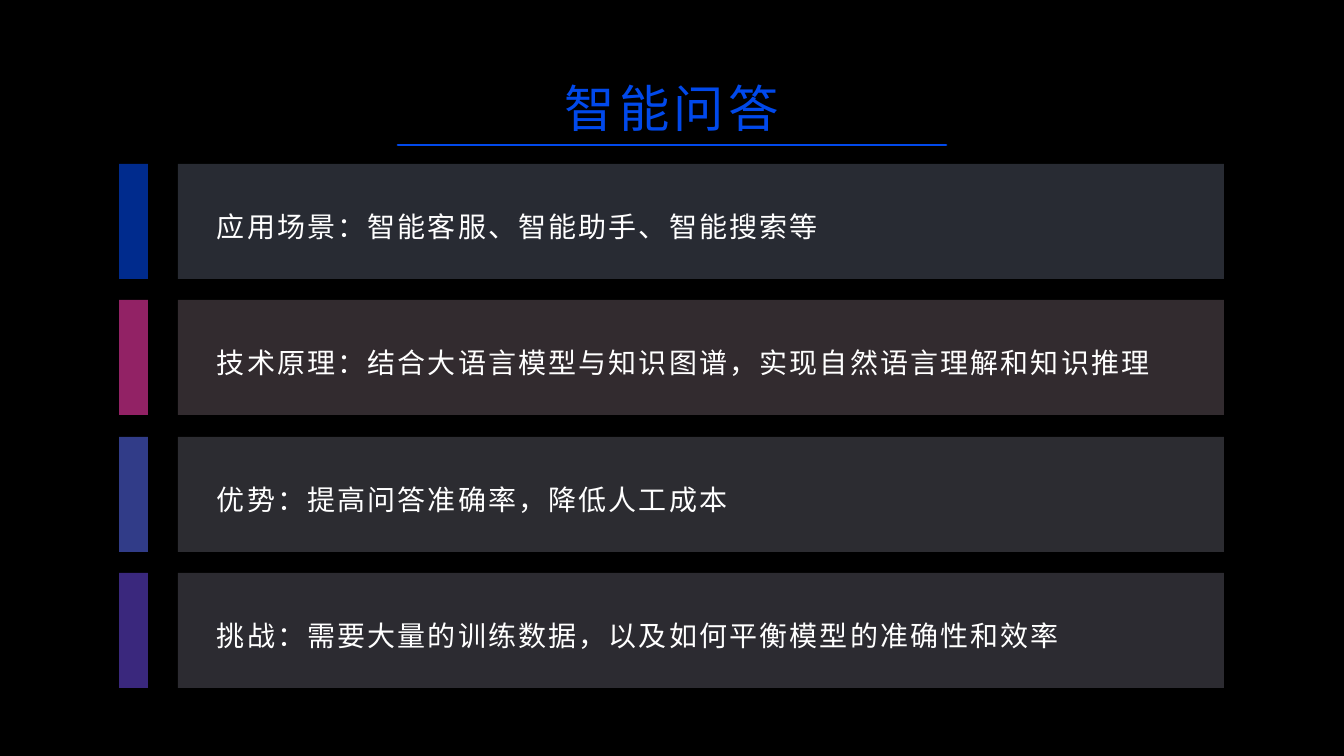
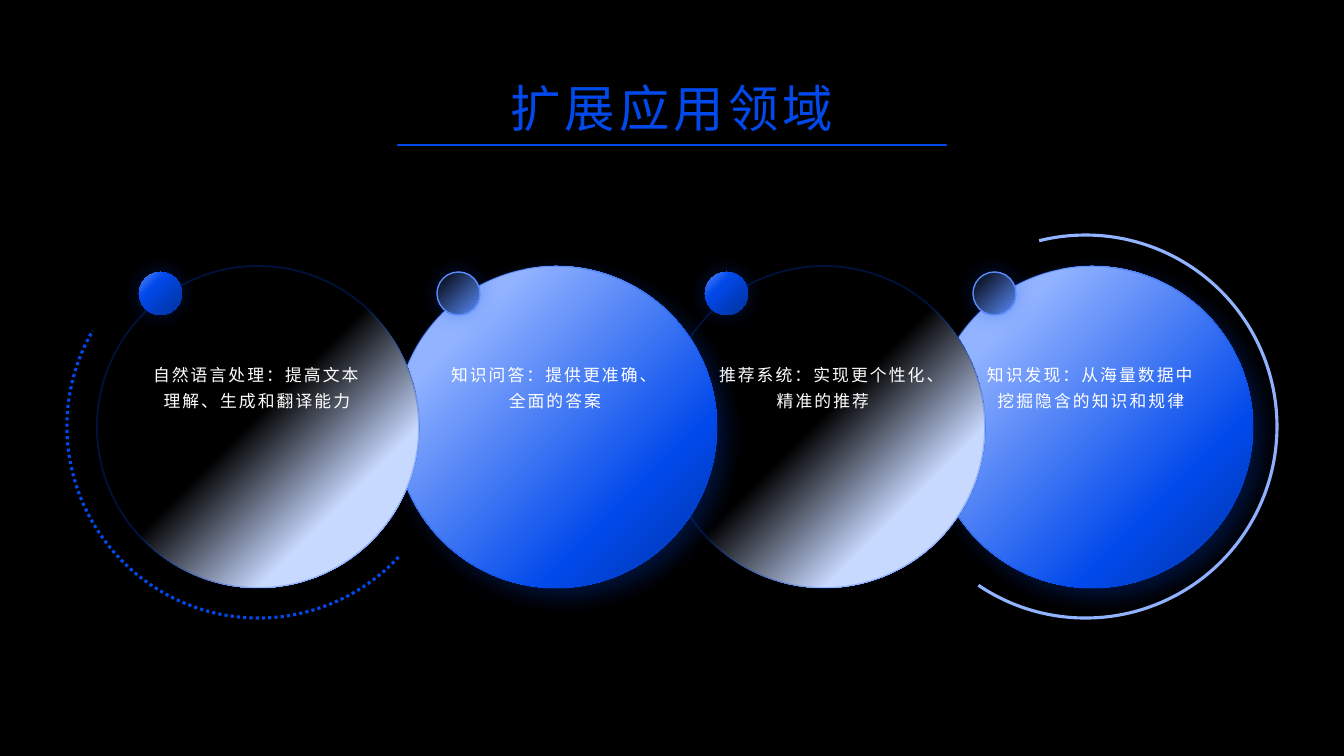
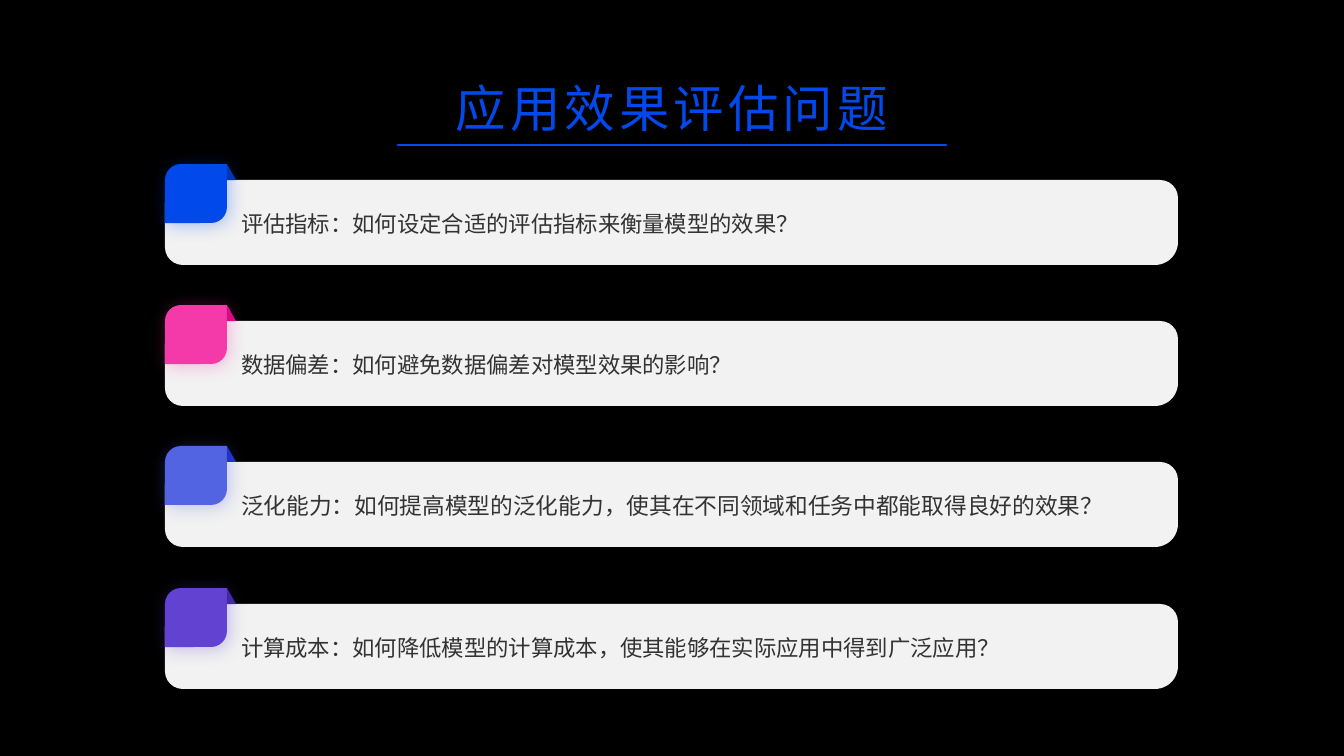
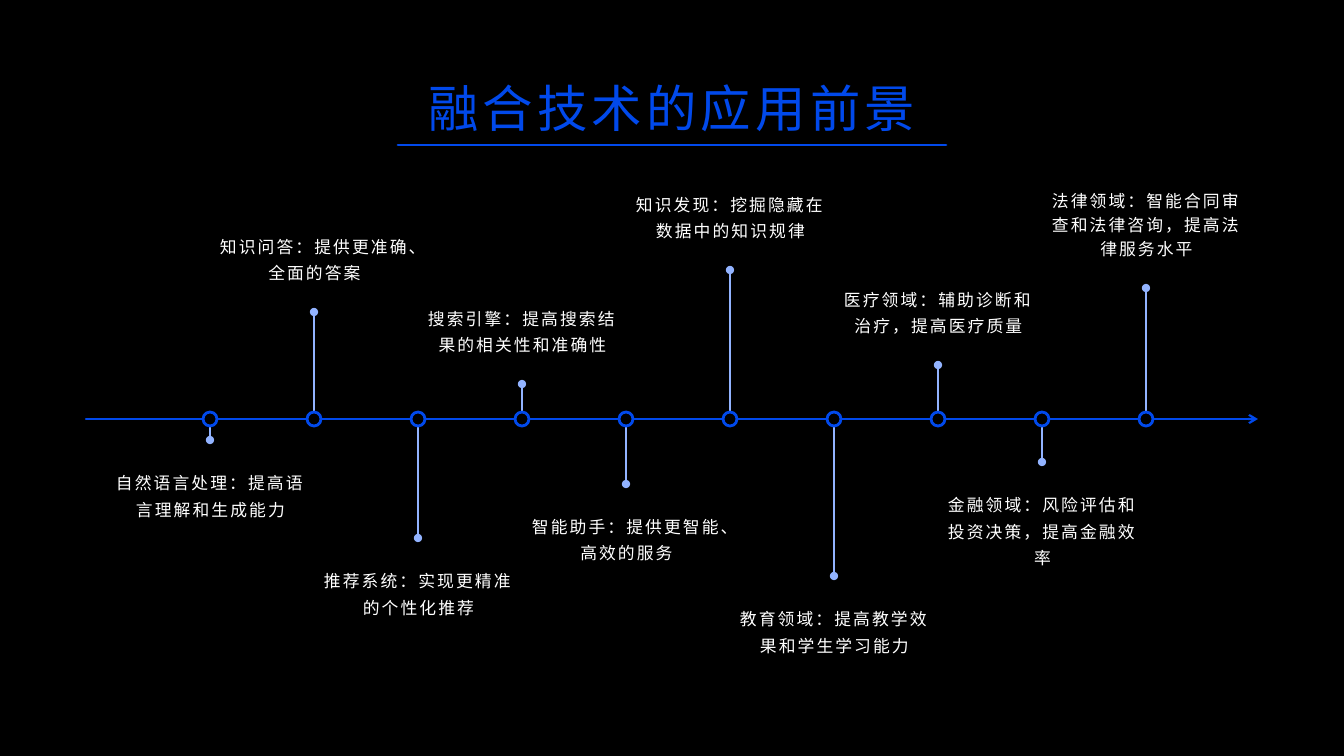
from lxml.etree import SubElement
from pptx import Presentation
from pptx.dml.color import RGBColor
from pptx.enum.dml import MSO_LINE
from pptx.enum.shapes import MSO_CONNECTOR, MSO_SHAPE
from pptx.enum.text import MSO_ANCHOR, PP_ALIGN
from pptx.oxml.ns import qn
from pptx.util import Pt

WIDE, HIGH = 1344, 756
SCALE = 12192000 / WIDE
FONT = "Roboto"

BLACK = RGBColor(0x00, 0x00, 0x00)
WHITE = RGBColor(0xFF, 0xFF, 0xFF)
INK = RGBColor(0x33, 0x33, 0x33)
PAPER = RGBColor(0xF2, 0xF2, 0xF2)
BLUE = RGBColor(0x01, 0x49, 0xEB)
NAVY = RGBColor(0x01, 0x37, 0xB0)
AZURE = RGBColor(0x5B, 0x8D, 0xFE)
SKY = RGBColor(0x92, 0xB3, 0xFF)
ICE = RGBColor(0xC8, 0xD9, 0xFF)
PINK = RGBColor(0xF4, 0x3A, 0xA9)
ROSE = RGBColor(0xD7, 0x0C, 0x85)
BLUSH = RGBColor(0xFD, 0xD8, 0xEE)
INDIGO = RGBColor(0x53, 0x64, 0xE3)
COBALT = RGBColor(0x21, 0x34, 0xC8)
MIST = RGBColor(0xDD, 0xE0, 0xF9)
PURPLE = RGBColor(0x62, 0x43, 0xD1)
VIOLET = RGBColor(0x44, 0x29, 0xA6)
LILAC = RGBColor(0xE0, 0xD9, 0xF6)

NOTE = {"size": 12, "align": PP_ALIGN.CENTER, "pad": (0, 0, 0, 0)}


def px(n):
    return round(n * SCALE)


def put(item, values):
    for name, value in values.items():
        setattr(item, name, value)


def fade(node, alpha):
    """Make a colour element see-through; alpha is in percent."""
    SubElement(node, qn("a:alpha"), val=str(alpha * 1000))


class Deck:
    def __init__(self):
        self.prs = Presentation()
        put(self.prs, {"slide_width": px(WIDE), "slide_height": px(HIGH)})
        back = self.prs.slide_master.background.fill
        back.solid()
        back.fore_color.rgb = BLACK

    def page(self, title):
        """Start a slide with its title and rule."""
        slide = self.prs.slides.add_slide(self.prs.slide_layouts[6])
        self.shapes = slide.shapes
        self.line(398, 145, 946, 145, BLUE, 2)
        self.text((67, 68, 1210, 78), title, size=36, color=BLUE, space=3,
                  lead=1.0, align=PP_ALIGN.CENTER, anchor=MSO_ANCHOR.MIDDLE)

    def text(self, box, words, size, color=WHITE, space=1.5, lead=1.3,
             align=PP_ALIGN.LEFT, anchor=MSO_ANCHOR.TOP, pad=(10, 5, 10, 5)):
        frame = self.shapes.add_textbox(*map(px, box)).text_frame
        sides = ("left", "top", "right", "bottom")
        put(frame, {"margin_" + side: px(n) for side, n in zip(sides, pad)})
        put(frame, {"word_wrap": True, "vertical_anchor": anchor})
        para = frame.paragraphs[0]
        put(para, {"alignment": align, "line_spacing": lead})
        run = para.add_run()
        run.text = words
        put(run.font, {"size": Pt(size), "name": FONT})
        run.font.color.rgb = color
        props = run.font._element
        props.set("lang", "zh-CN")
        props.set("spc", str(round(space * 100)))
        SubElement(props, qn("a:ea"), typeface=FONT)

    def line(self, x1, y1, x2, y2, color, width, end=None):
        link = self.shapes.add_connector(
            MSO_CONNECTOR.STRAIGHT, *map(px, (x1, y1, x2, y2)))
        link.line.color.rgb = color
        link.line.width = Pt(width)
        props = link.element.spPr
        stroke = props.find(qn("a:ln"))
        stroke.set("cap", "rnd")
        if end:
            SubElement(stroke, qn("a:tailEnd"), type=end)
        SubElement(props, qn("a:effectLst"))

    def shape(self, kind, box, fill=None, alpha=None, line=None, adj=(),
              shade=None):
        """fill: colour or list of (percent, colour) stops; line: colour,
        width, alpha; shade: colour, alpha, blur, distance, angle."""
        item = self.shapes.add_shape(kind, *map(px, box))
        for i, value in enumerate(adj):
            item.adjustments[i] = value
        if fill is None:
            item.fill.background()
        elif isinstance(fill, list):
            self.blend(item, fill)
        else:
            item.fill.solid()
            item.fill.fore_color.rgb = fill
            if alpha:
                fade(item.element.spPr.find(".//" + qn("a:srgbClr")), alpha)
        if line:
            color, width, clear = line
            item.line.color.rgb = color
            item.line.width = Pt(width)
            if clear < 100:
                stroke = item.element.spPr.find(qn("a:ln"))
                fade(stroke.find(".//" + qn("a:srgbClr")), clear)
        else:
            item.line.fill.background()
        item.shadow.inherit = False
        if shade:
            self.glow(item, *shade)
        return item

    def blend(self, item, stops):
        item.fill.gradient()
        item.fill.gradient_angle = 315
        rows = item.element.spPr.find(".//" + qn("a:gsLst"))
        for old in list(rows):
            rows.remove(old)
        for spot, color in stops:
            stop = SubElement(rows, qn("a:gs"), pos=str(spot * 1000))
            SubElement(stop, qn("a:srgbClr"), val=str(color))

    def glow(self, item, color, alpha, blur, dist, angle):
        node = SubElement(
            item.element.spPr.find(qn("a:effectLst")), qn("a:outerShdw"),
            blurRad=str(Pt(blur)), dist=str(Pt(dist)),
            dir=str(angle * 60000), algn="ctr", rotWithShape="0")
        fade(SubElement(node, qn("a:srgbClr"), val=str(color)), alpha)


def answers(deck):
    deck.page("智能问答")
    rows = [
        (BLUE, ICE, "应用场景：智能客服、智能助手、智能搜索等"),
        (PINK, BLUSH, "技术原理：结合大语言模型与知识图谱，实现自然语言理解和知识推理"),
        (INDIGO, MIST, "优势：提高问答准确率，降低人工成本"),
        (PURPLE, LILAC, "挑战：需要大量的训练数据，以及如何平衡模型的准确性和效率"),
    ]
    for i, (dark, pale, words) in enumerate(rows):
        y = 164 + i * 273 // 2
        deck.shape(MSO_SHAPE.RECTANGLE, (178, y, 1046, 115), pale, 20)
        deck.shape(MSO_SHAPE.RECTANGLE, (119, y, 29, 115), dark, 60)
        deck.text((207, y + 10, 1001, 95), words, size=20,
                  anchor=MSO_ANCHOR.MIDDLE)


def fields(deck):
    deck.page("扩展应用领域")
    arcs = [(894, 256, 124, SKY, None),
            (67, 43, 210, BLUE, MSO_LINE.ROUND_DOT)]
    for x, start, stop, color, dash in arcs:
        # 60000 units a degree, over adjustments of 100000 units
        arc = deck.shape(MSO_SHAPE.ARC, (x, 235, 383, 383),
                         line=(color, 2.25, 100),
                         adj=(start * 0.6, stop * 0.6))
        if dash:
            arc.line.dash_style = dash

    rim = (BLUE, 1.25, 25)
    halo = (BLUE, 28, 15, 0, 0)
    bright = (
        {"fill": [(20, SKY), (73, BLUE), (94, NAVY)], "line": rim,
         "shade": (BLUE, 25, 16, 8, 45)},
        {"fill": [(0, BLACK), (100, AZURE)], "line": (AZURE, 1, 100),
         "shade": halo})
    dim = (
        {"fill": [(48, BLACK), (75, ICE)], "line": rim},
        {"fill": [(0, AZURE), (33, BLUE), (82, NAVY)], "shade": halo})
    discs = [
        (931, bright, "知识发现：从海量数据中挖掘隐含的知识和规律"),
        (663, dim, "推荐系统：实现更个性化、精准的推荐"),
        (395, bright, "知识问答：提供更准确、全面的答案"),
        (97, dim, "自然语言处理：提高文本理解、生成和翻译能力"),
    ]
    for x, (disc, dot), words in discs:
        deck.shape(MSO_SHAPE.OVAL, (x, 266, 322, 322), **disc)
        deck.shape(MSO_SHAPE.OVAL, (x + 42, 272, 43, 43), **dot)
        deck.text((x + 49, 359, 222, 152), words, **NOTE)


def issues(deck):
    deck.page("应用效果评估问题")
    rows = [
        (BLUE, NAVY, 16, "评估指标：如何设定合适的评估指标来衡量模型的效果？"),
        (PINK, ROSE, 16, "数据偏差：如何避免数据偏差对模型效果的影响？"),
        (INDIGO, COBALT, 16.2,
         "泛化能力：如何提高模型的泛化能力，使其在不同领域和任务中都能取得良好的效果？"),
        (PURPLE, VIOLET, 16,
         "计算成本：如何降低模型的计算成本，使其能够在实际应用中得到广泛应用？"),
    ]
    card = MSO_SHAPE.ROUND_2_DIAG_RECTANGLE
    for i, (color, fold, size, words) in enumerate(rows):
        y = 164 + i * 424 // 3
        deck.shape(card, (165, y + 16, 1013, 85), PAPER, adj=(0.27, 0.21),
                   shade=(BLACK, 23, 20, 3, 107))
        deck.shape(card, (165, y, 62, 59), color, adj=(0.27, 0),
                   shade=(color, 31, 13, 2, 45))
        deck.shape(MSO_SHAPE.RIGHT_TRIANGLE, (227, y, 9, 16), fold)
        deck.text((231, y + 17, 915, 84), words, size=size, color=INK,
                  space=0, lead=1.5, anchor=MSO_ANCHOR.MIDDLE,
                  pad=(10, 0, 10, 12))


def future(deck):
    deck.page("融合技术的应用前景")
    axis = 419
    stems = [
        (440, "自然语言处理：提高语言理解和生成能力"),
        (312, "知识问答：提供更准确、全面的答案"),
        (538, "推荐系统：实现更精准的个性化推荐"),
        (384, "搜索引擎：提高搜索结果的相关性和准确性"),
        (484, "智能助手：提供更智能、高效的服务"),
        (270, "知识发现：挖掘隐藏在数据中的知识规律"),
        (576, "教育领域：提高教学效果和学生学习能力"),
        (365, "医疗领域：辅助诊断和治疗，提高医疗质量"),
        (462, "金融领域：风险评估和投资决策，提高金融效率"),
        (288, "法律领域：智能合同审查和法律咨询，提高法律服务水平"),
    ]
    spots = [210 + 104 * i for i in range(len(stems))]
    for x, (tip, words) in zip(spots, stems):
        deck.line(x, axis, x, tip, SKY, 1, "oval")
        if tip < axis:
            lead = 1.2 if x == spots[-1] else 1.3
            deck.text((x - 96, tip - 106, 193, 77), words, lead=lead,
                      anchor=MSO_ANCHOR.BOTTOM, **NOTE)
        else:
            deck.text((x - 96, tip + 27, 193, 88), words, **NOTE)
    deck.line(86, axis, 1258, axis, BLUE, 1.5, "arrow")
    for x in spots:
        deck.shape(MSO_SHAPE.OVAL, (x - 7, axis - 7, 14, 14), BLACK,
                   line=(BLUE, 2, 100))


def main():
    deck = Deck()
    for build in (answers, fields, issues, future):
        build(deck)
    deck.prs.save("out.pptx")


if __name__ == "__main__":
    main()
